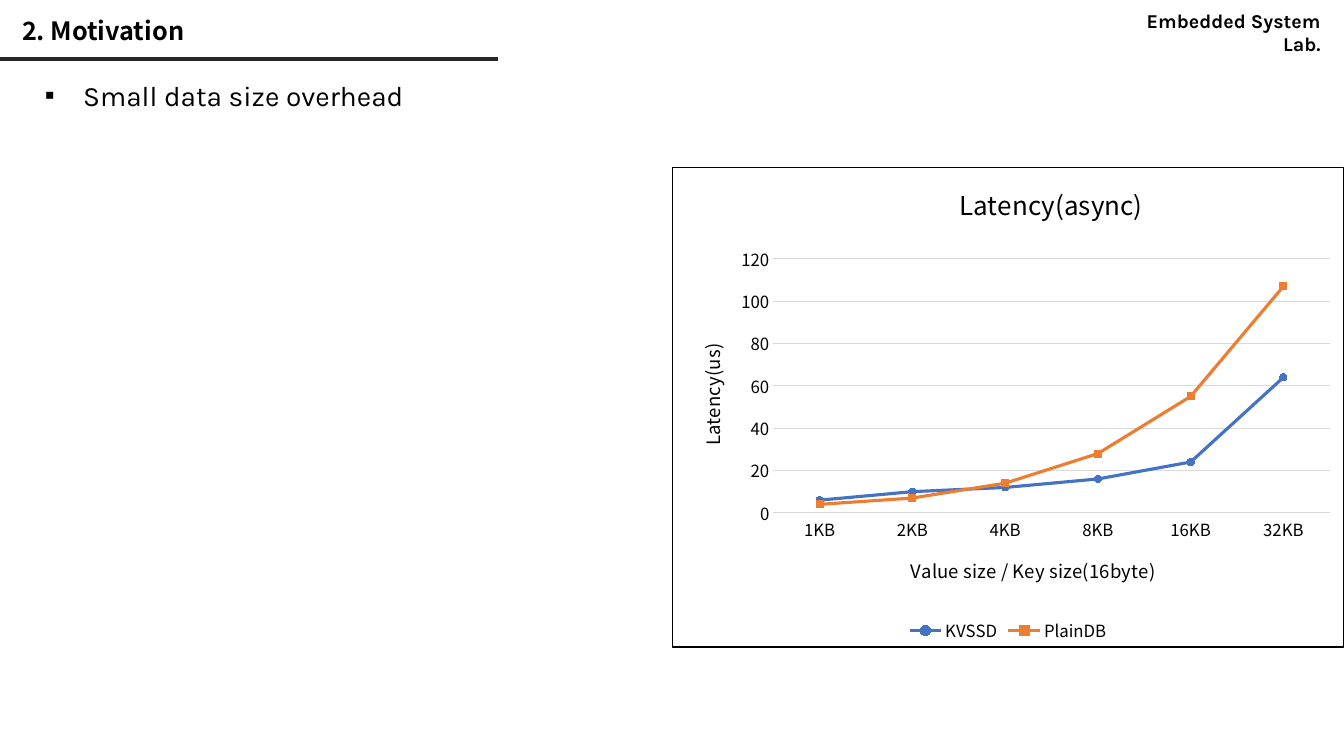
from lxml import etree
from pptx import Presentation
from pptx.chart.data import CategoryChartData
from pptx.dml.color import RGBColor
from pptx.enum.chart import XL_CHART_TYPE, XL_LEGEND_POSITION, XL_MARKER_STYLE, XL_TICK_MARK
from pptx.enum.shapes import MSO_CONNECTOR
from pptx.enum.text import MSO_ANCHOR, PP_ALIGN
from pptx.oxml import parse_xml
from pptx.oxml.ns import qn
from pptx.util import Emu, Inches, Pt

LINE = XL_CHART_TYPE.LINE_MARKERS
BOTTOM = XL_LEGEND_POSITION.BOTTOM
NONE = XL_TICK_MARK.NONE
CIRCLE, SQUARE = XL_MARKER_STYLE.CIRCLE, XL_MARKER_STYLE.SQUARE
STRAIGHT = MSO_CONNECTOR.STRAIGHT
LEFT, RIGHT, MIDDLE = PP_ALIGN.LEFT, PP_ALIGN.RIGHT, MSO_ANCHOR.MIDDLE
W, H = Inches(13.33), Inches(7.5)


class Theme:
    ink, rule, grid, paper = "000000", "262626", "D9D9D9", "FFFFFF"
    blue, orange = "4472C4", "ED7D31"
    latin, korean = "Karla", "Noto Sans CJK KR"
    body, head, chart, lab, axis, label = 20, 18, 18.6, 14, 13.2, 12


SIZES = ["1KB", "2KB", "4KB", "8KB", "16KB", "32KB"]
SERIES = [
    ("KVSSD", [6, 10, 12, 16, 24, 64], Theme.blue, CIRCLE),
    ("PlainDB", [4, 7, 14, 28, 55, 107], Theme.orange, SQUARE),
]
NS = ('xmlns:c="http://schemas.openxmlformats.org/drawingml/2006/chart" '
      'xmlns:a="http://schemas.openxmlformats.org/drawingml/2006/main"')


def apply(item, values):
    for name, value in values.items():
        setattr(item, name, value)


def style(font, size, face, bold=False):
    apply(font, {"size": Pt(size), "name": face, "bold": bold})
    font.color.rgb = RGBColor.from_string(Theme.ink)


def stroke(line, color, width):
    line.color.rgb = RGBColor.from_string(color)
    line.width = Pt(width)


def place(x, y, w, h):
    """Turn percent shares of the slide into lengths."""
    return [Emu(round(n / 100)) for n in (x * W, y * H, w * W, h * H)]


def text(slide, box, words, size, face, bold=False, align=LEFT, wrap=True):
    frame = slide.shapes.add_textbox(*place(*box)).text_frame
    apply(frame, {"word_wrap": wrap, "vertical_anchor": MIDDLE})
    para = frame.paragraphs[0]
    para.alignment = align
    run = para.add_run()
    run.text = words
    style(run.font, size, face, bold)
    return para


def bullet(para, mark, indent):
    props = para._p.get_or_add_pPr()
    props.set("marL", str(Inches(indent)))
    props.set("indent", str(-Inches(indent)))
    etree.SubElement(props, qn("a:buFont"), typeface="Arial")
    etree.SubElement(props, qn("a:buChar"), char=mark)


def rule(slide, y, end):
    line = slide.shapes.add_connector(STRAIGHT, *place(0, y, end, y))
    stroke(line.line, Theme.rule, 3)
    etree.SubElement(line._element.spPr, qn("a:effectLst"))


def layout(parent, index, inner=False, **shares):
    """Fix a chart part at shares of the chart's size."""
    for old in parent.findall(qn("c:layout")):
        parent.remove(old)
    target = '<c:layoutTarget val="inner"/>' if inner else ""
    modes = "".join(f'<c:{n}Mode val="edge"/>' for n in "xy")
    sizes = "".join(f'<c:{n} val="{v}"/>' for n, v in shares.items())
    parent.insert(index, parse_xml(
        f"<c:layout {NS}><c:manualLayout>{target}{modes}{sizes}"
        "</c:manualLayout></c:layout>"))


def caption(title, words, size, x, y, turn=0):
    frame = title.text_frame
    frame.text = words
    style(frame.paragraphs[0].runs[0].font, size, Theme.korean)
    body = title.element.find(".//" + qn("a:bodyPr"))
    body.set("rot", str(turn * 60000))
    body.set("vert", "horz")
    layout(title.element, 1, x=x, y=y)


def frame(chart):
    """Fill and outline the chart area."""
    solid = '<a:solidFill><a:srgbClr val="{}"/></a:solidFill>'
    area = parse_xml(
        f"<c:spPr {NS}>{solid.format(Theme.paper)}"
        f'<a:ln w="{Pt(1)}">{solid.format(Theme.ink)}</a:ln></c:spPr>')
    chart.element.find(qn("c:chart")).addnext(area)


def graph(slide, box):
    data = CategoryChartData()
    data.categories = SIZES
    for name, values, _, _ in SERIES:
        data.add_series(name, values)
    chart = slide.shapes.add_chart(LINE, *place(*box), data).chart
    style(chart.font, Theme.label, Theme.korean)
    frame(chart)

    # Axes
    cat, val = chart.category_axis, chart.value_axis
    for axis in (cat, val):
        apply(axis, {"major_tick_mark": NONE, "minor_tick_mark": NONE})
        style(axis.tick_labels.font, Theme.label, Theme.korean)
    apply(val, {"minimum_scale": 0, "maximum_scale": 120, "major_unit": 20})
    stroke(cat.format.line, Theme.grid, 0.75)
    stroke(val.major_gridlines.format.line, Theme.grid, 0.75)
    val.format.line.fill.background()

    # Titles and plot area
    chart.has_title = True
    caption(chart.chart_title, "Latency(async)", Theme.chart, 0.42, 0.02)
    caption(cat.axis_title, "Value size / Key size(16byte)", Theme.axis, 0.35, 0.8)
    caption(val.axis_title, "Latency(us)", Theme.axis, 0.03, 0.36, -90)
    plot = chart.element.find(".//" + qn("c:plotArea"))
    layout(plot, 0, inner=True, x=0.15, y=0.19, w=0.83, h=0.53)

    # Legend
    chart.has_legend = True
    apply(chart.legend, {"position": BOTTOM, "include_in_layout": False})
    style(chart.legend.font, Theme.label, Theme.korean)

    # Series
    chart.plots[0].vary_by_categories = False
    for series, (_, _, color, mark) in zip(chart.plots[0].series, SERIES):
        series.smooth = False
        stroke(series.format.line, color, 2.25)
        apply(series.marker, {"style": mark, "size": 5})
        look = series.marker.format
        look.fill.solid()
        look.fill.fore_color.rgb = RGBColor.from_string(color)
        stroke(look.line, color, 0.75)


def main():
    deck = Presentation()
    apply(deck, {"slide_width": W, "slide_height": H})
    slide = deck.slides.add_slide(deck.slide_layouts[6])

    # Header
    rule(slide, 7.8, 37.06)
    text(slide, (81.5, 2, 17.5, 4.5), "Embedded System Lab.",
         Theme.lab, Theme.latin, True, RIGHT, False)
    text(slide, (0.9, 1.6, 72.8, 5.3), "2. Motivation",
         Theme.head, Theme.korean, True).line_spacing = 0.9

    # Body
    point = text(slide, (2.6, 9.7, 90.2, 5.8), "Small data size overhead",
                 Theme.body, Theme.latin)
    bullet(point, "▪", 0.38)
    graph(slide, (50, 22.1, 50, 63.6))
    deck.save("out.pptx")


if __name__ == "__main__":
    main()
